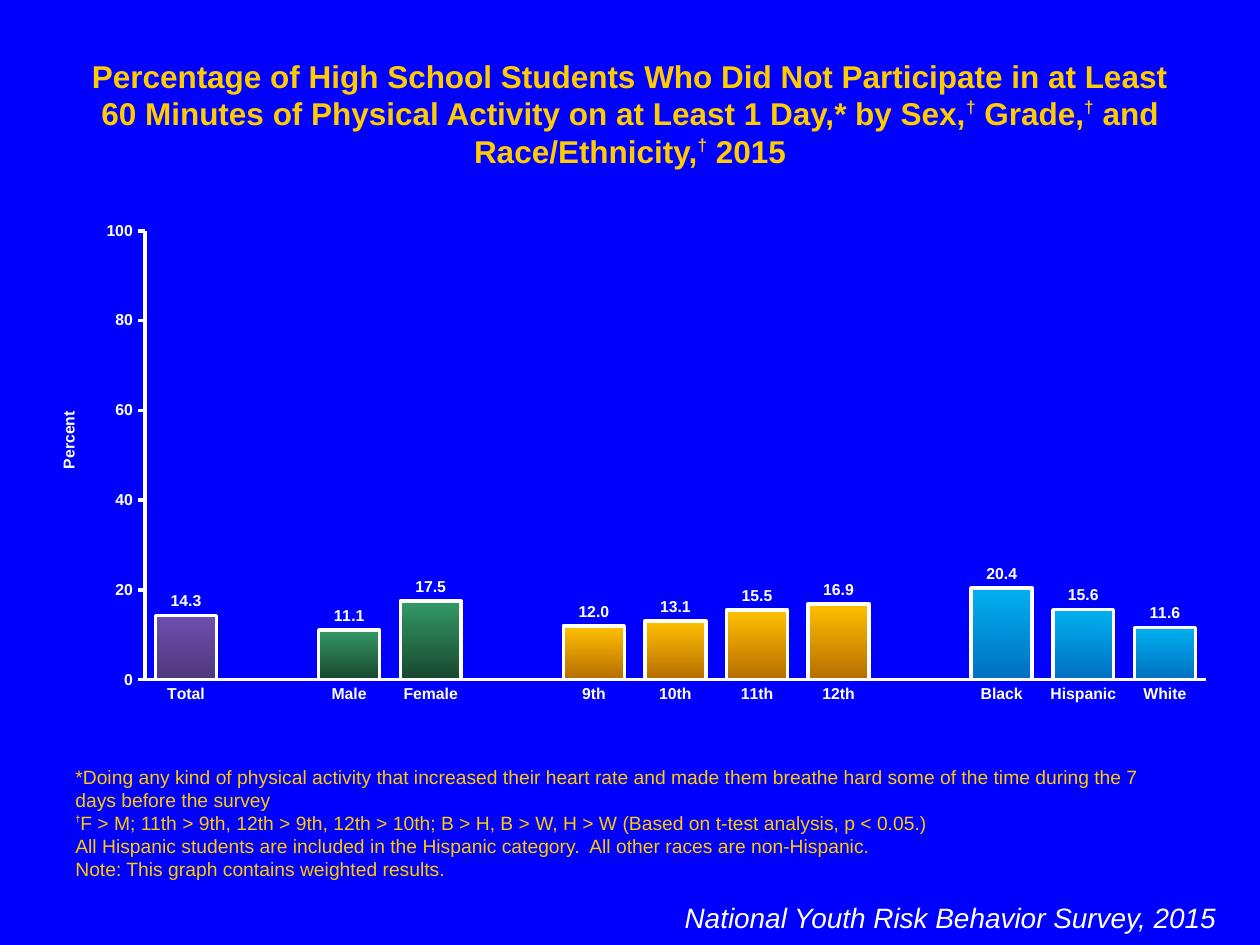
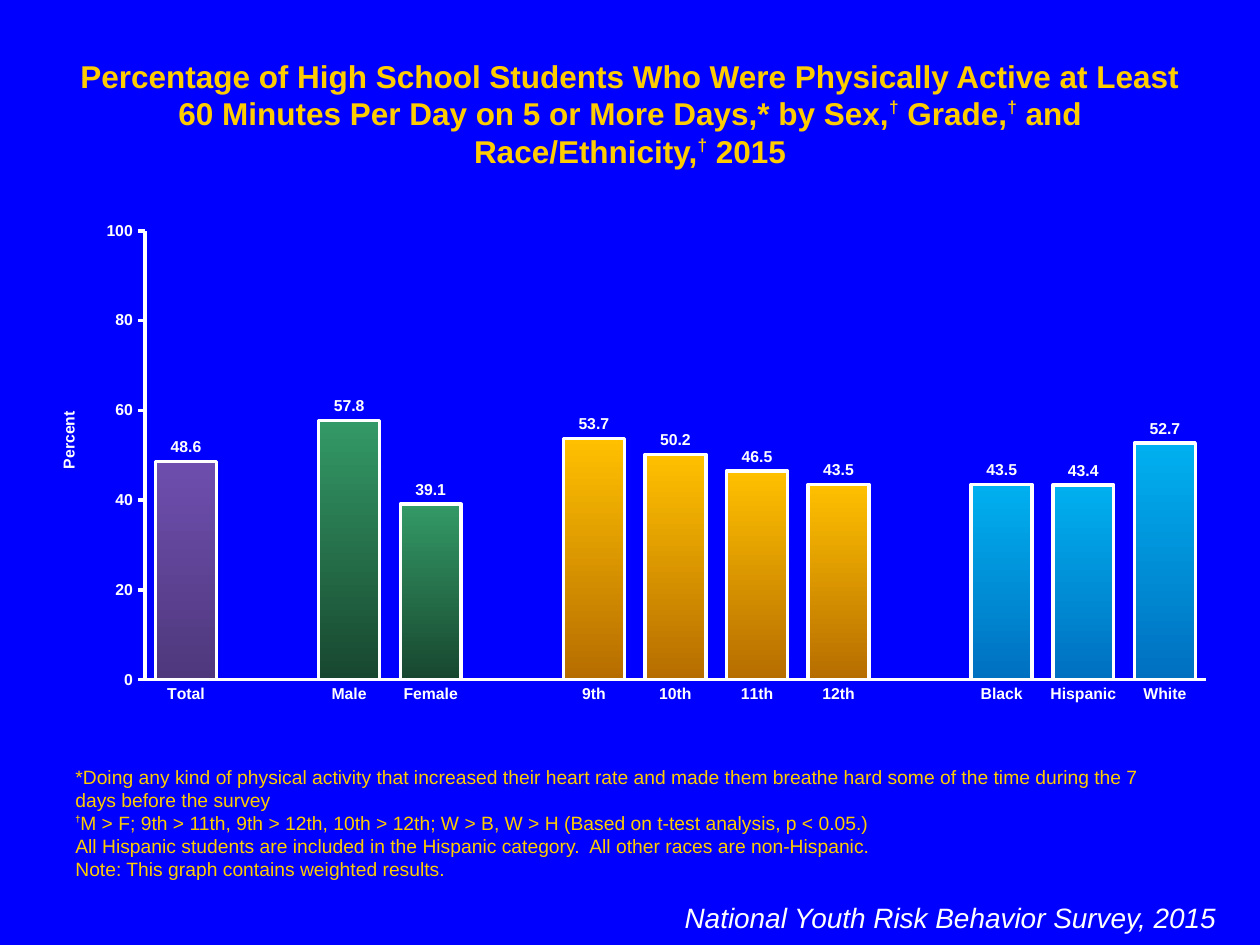
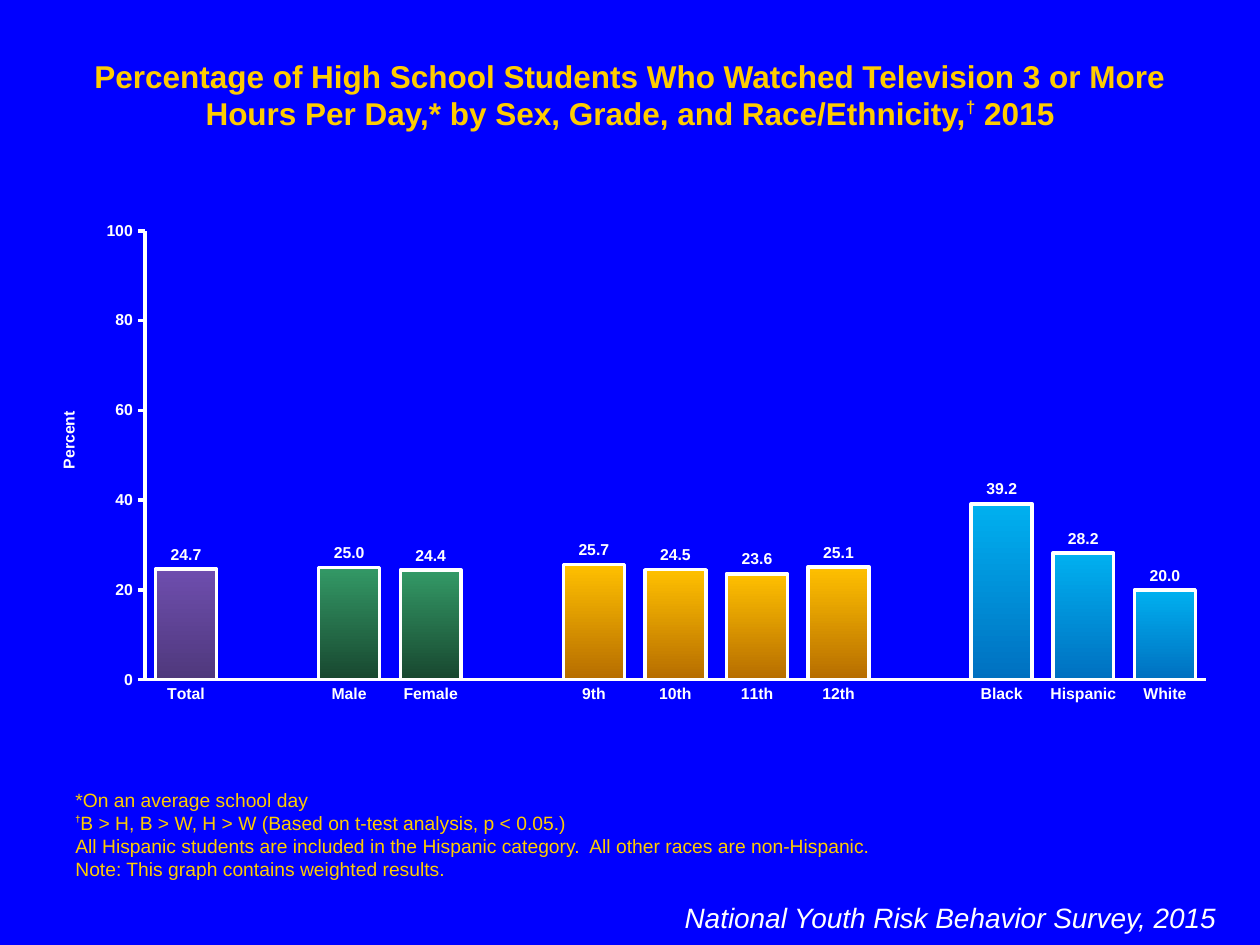
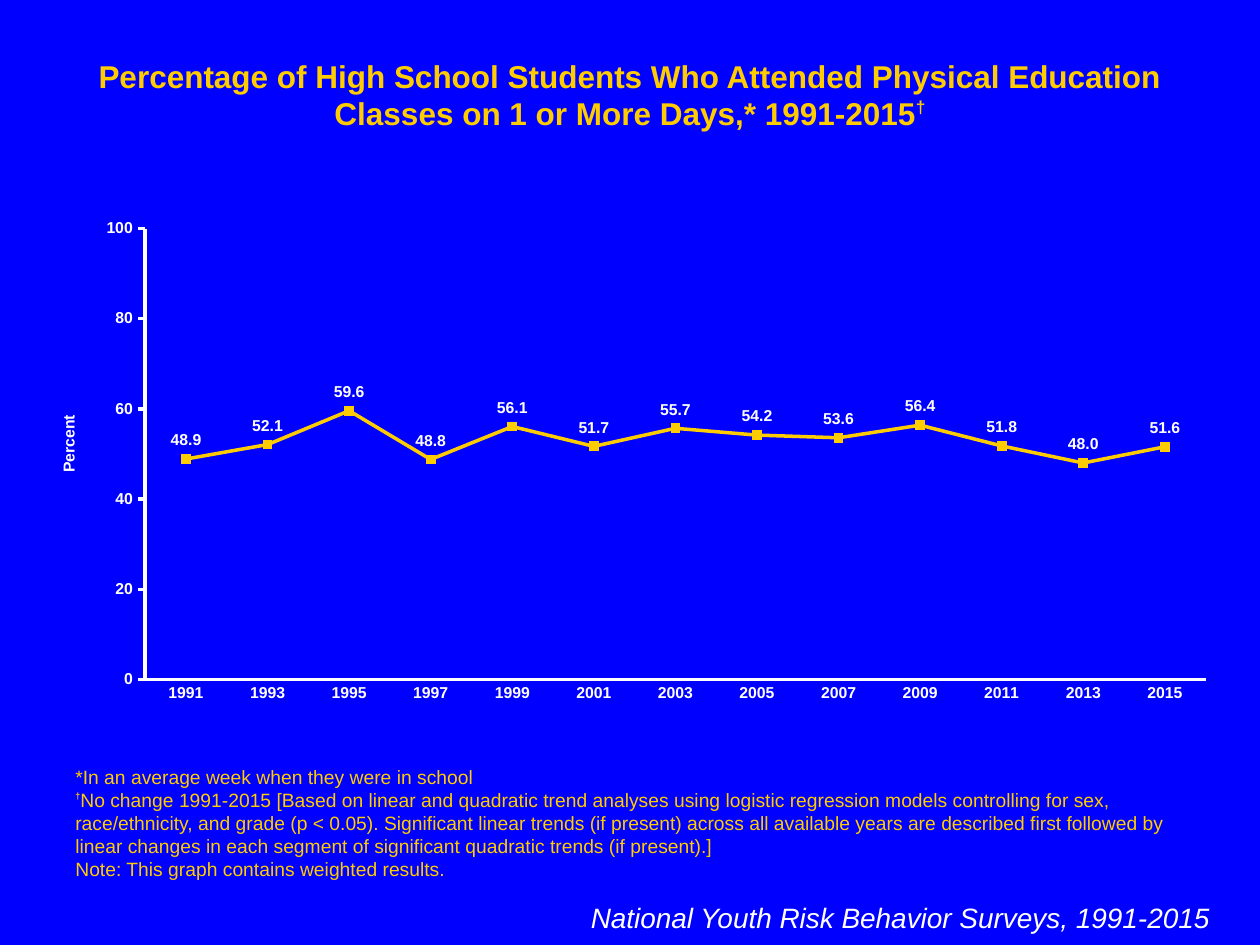
"""Build four survey slides: three grouped column charts and one trend line."""
from lxml.etree import SubElement
from pptx import Presentation
from pptx.chart.data import CategoryChartData
from pptx.dml.color import RGBColor
from pptx.enum.chart import XL_CHART_TYPE, XL_LABEL_POSITION, XL_MARKER_STYLE, XL_TICK_MARK
from pptx.enum.text import MSO_ANCHOR, MSO_AUTO_SIZE, PP_ALIGN
from pptx.oxml.ns import qn
from pptx.util import Inches, Pt

FONT, GOLD, WHITE, BLUE = "Arial", "FFCC00", "FFFFFF", "0000FF"
MARGIN, TEXT_WIDTH = 0.5, 9
rgb = RGBColor.from_string


def add_text(slide, box, lines, size, color, align, bold=False, italic=False,
             anchor=MSO_ANCHOR.TOP, mark_size=0, mark_raise=0):
    """Add a text box in which every dagger is a raised run."""
    shape = slide.shapes.add_textbox(*[Inches(length) for length in box])
    frame = shape.text_frame
    frame.word_wrap = True
    frame.auto_size = MSO_AUTO_SIZE.SHAPE_TO_FIT_TEXT
    frame.vertical_anchor = anchor
    for number, line in enumerate(lines):
        paragraph = frame.add_paragraph() if number else frame.paragraphs[0]
        paragraph.alignment = align
        before, mark, after = line.partition("†")
        while before or mark:
            for text in filter(None, (before, mark)):
                run = paragraph.add_run()
                run.text = text
                run.font.name = FONT
                run.font.size = Pt(mark_size if text == "†" else size)
                run.font.bold = bold or text == "†"
                run.font.italic = italic
                run.font.color.rgb = rgb(color)
                if text == "†":
                    run._r.get_or_add_rPr().set("baseline", str(mark_raise * 1000))
            before, mark, after = after.partition("†")


def set_layout(parent, position, **shares):
    """Place a chart part by shares of the chart's size."""
    for old in parent.findall(qn("c:layout")):
        parent.remove(old)
    layout = SubElement(parent, qn("c:layout"))
    parent.insert(position, layout)
    manual = SubElement(layout, qn("c:manualLayout"))
    if "w" in shares:
        SubElement(manual, qn("c:layoutTarget")).set("val", "inner")
    for name in ("x", "y"):
        SubElement(manual, qn(f"c:{name}Mode")).set("val", "edge")
    for name, share in shares.items():
        SubElement(manual, qn(f"c:{name}")).set("val", str(share))


SURVEY = "National Youth Risk Behavior Survey, 2015"
ACTIVITY = ("*Doing any kind of physical activity that increased their heart rate and made them "
            "breathe hard some of the time during the 7 days before the survey")
HISPANIC = "All Hispanic students are included in the Hispanic category.  All other races are non-Hispanic."
WEIGHTED = "Note: This graph contains weighted results."

GROUPS = [
    (["Total"], "6E4EAE", "4F387C"),
    (["Male", "Female"], "339966", "18472F"),
    (["9th", "10th", "11th", "12th"], "FFC000", "B66D00"),
    (["Black", "Hispanic", "White"], "00B0F0", "0070C0"),
]
group_names, gradients = [], {}
for names, top_color, bottom_color in GROUPS:
    if group_names:
        group_names.append("")
    for name in names:
        gradients[len(group_names)] = (top_color, bottom_color)
        group_names.append(name)
years = [str(year) for year in range(1991, 2016, 2)]

COLUMNS, LINE = XL_CHART_TYPE.COLUMN_CLUSTERED, XL_CHART_TYPE.LINE_MARKERS
COLUMN_BOX, LINE_BOX = (0.25, 1.69, 9.5, 3.98), (0.25, 1.67, 9.5, 4)
SURVEY_BOX, TREND_BOX = (4.25, 7.1, 5.5, 0.64), (4.53, 7.1, 5.17, 0.37)

SLIDES = [
    ("Percentage of High School Students Who Did Not Participate in at Least 60 Minutes of "
     "Physical Activity on at Least 1 Day,* by Sex,† Grade,† and Race/Ethnicity,† 2015",
     [ACTIVITY,
      "†F > M; 11th > 9th, 12th > 9th, 12th > 10th; B > H, B > W, H > W (Based on t-test analysis, p < 0.05.)",
      HISPANIC, WEIGHTED],
     SURVEY, SURVEY_BOX, COLUMNS, COLUMN_BOX,
     [14.3, None, 11.1, 17.5, None, 12.0, 13.1, 15.5, 16.9, None, 20.4, 15.6, 11.6]),
    ("Percentage of High School Students Who Were Physically Active at Least 60 Minutes Per Day "
     "on 5 or More Days,* by Sex,† Grade,† and Race/Ethnicity,† 2015",
     [ACTIVITY,
      "†M > F; 9th > 11th, 9th > 12th, 10th > 12th; W > B, W > H (Based on t-test analysis, p < 0.05.)",
      HISPANIC, WEIGHTED],
     SURVEY, SURVEY_BOX, COLUMNS, COLUMN_BOX,
     [48.6, None, 57.8, 39.1, None, 53.7, 50.2, 46.5, 43.5, None, 43.5, 43.4, 52.7]),
    ("Percentage of High School Students Who Watched Television 3 or More Hours Per Day,* "
     "by Sex, Grade, and Race/Ethnicity,† 2015",
     ["*On an average school day",
      "†B > H, B > W, H > W (Based on t-test analysis, p < 0.05.)",
      HISPANIC, WEIGHTED],
     SURVEY, SURVEY_BOX, COLUMNS, COLUMN_BOX,
     [24.7, None, 25.0, 24.4, None, 25.7, 24.5, 23.6, 25.1, None, 39.2, 28.2, 20.0]),
    ("Percentage of High School Students Who Attended Physical Education Classes "
     "on 1 or More Days,* 1991-2015†",
     ["*In an average week when they were in school",
      "†No change 1991-2015 [Based on linear and quadratic trend analyses using logistic regression "
      "models controlling for sex, race/ethnicity, and grade (p < 0.05). Significant linear trends "
      "(if present) across all available years are described first followed by linear changes in "
      "each segment of significant quadratic trends (if present).]",
      WEIGHTED],
     "National Youth Risk Behavior Surveys, 1991-2015", TREND_BOX, LINE, LINE_BOX,
     [48.9, 52.1, 59.6, 48.8, 56.1, 51.7, 55.7, 54.2, 53.6, 56.4, 51.8, 48.0, 51.6]),
]

presentation = Presentation()
presentation.slide_width, presentation.slide_height = Inches(10), Inches(7.5)
background = presentation.slide_master.background.fill
background.solid()
background.fore_color.rgb = rgb(BLUE)

for title, notes, source, source_box, chart_type, chart_box, values in SLIDES:
    slide = presentation.slides.add_slide(presentation.slide_layouts[6])
    add_text(slide, (MARGIN, 0.4, TEXT_WIDTH, 0.4), [title], 18, GOLD, PP_ALIGN.CENTER,
             bold=True, mark_size=17, mark_raise=40)
    add_text(slide, (MARGIN, 6.75, TEXT_WIDTH, 0.29), notes, 11, GOLD, PP_ALIGN.LEFT,
             anchor=MSO_ANCHOR.BOTTOM, mark_size=9, mark_raise=50)
    add_text(slide, source_box, [source], 16, WHITE, PP_ALIGN.RIGHT, italic=True)

    chart_data = CategoryChartData(number_format="#,##0.0")
    chart_data.categories = group_names if chart_type == COLUMNS else years
    chart_data.add_series("Series 1", values)
    chart = slide.shapes.add_chart(
        chart_type, *[Inches(length) for length in chart_box], chart_data).chart
    chart.has_legend = False
    chart.has_title = False
    chart.font.name = FONT
    chart.font.size = Pt(18)
    chart.font.color.rgb = rgb(WHITE)
    set_layout(chart._chartSpace.chart.plotArea, 0, x=0.095, y=0.036, w=0.886, h=0.895)

    percent_axis, category_axis = chart.value_axis, chart.category_axis
    percent_axis.minimum_scale, percent_axis.maximum_scale = 0, 100
    percent_axis.major_unit = 20
    percent_axis.has_major_gridlines = False
    percent_axis.major_tick_mark = XL_TICK_MARK.OUTSIDE
    percent_axis.tick_labels.number_format = "#,##0"
    percent_axis.tick_labels.number_format_is_linked = False
    category_axis.major_tick_mark = XL_TICK_MARK.NONE

    axis_title = percent_axis.axis_title
    title_frame = axis_title.text_frame
    title_run = title_frame.paragraphs[0].add_run()
    title_run.text = "Percent"
    title_frame._txBody.find(qn("a:bodyPr")).set("rot", "-5400000")
    set_layout(axis_title._element, 1, x=0.02, y=0.39 if chart_type == COLUMNS else 0.4)

    plot = chart.plots[0]
    plot.vary_by_categories = False
    plot.has_data_labels = True
    labels = plot.data_labels
    labels.show_value = True
    labels.number_format = "#,##0.0"
    labels.number_format_is_linked = False

    for axis in (percent_axis, category_axis):
        axis.format.line.color.rgb = rgb(WHITE)
        axis.format.line.width = Pt(2)
    for font in (percent_axis.tick_labels.font, category_axis.tick_labels.font,
                 title_run.font, labels.font):
        font.name = FONT
        font.size = Pt(9)
        font.bold = True
        font.color.rgb = rgb(WHITE)

    series = plot.series[0]
    if chart_type == COLUMNS:
        labels.position = XL_LABEL_POSITION.OUTSIDE_END
        plot.gap_width, plot.overlap = 34, 100
        series.invert_if_negative = False
        series.format.fill.solid()
        series.format.fill.fore_color.rgb = rgb("26CA59")
        for index, colors in gradients.items():
            column = series.points[index].format
            column.fill.gradient()
            column.fill.gradient_angle = 270
            for stop, color in zip(column.fill.gradient_stops, colors):
                stop.color.rgb = rgb(color)
            column.line.color.rgb = rgb(WHITE)
            column.line.width = Pt(2)
    else:
        labels.position = XL_LABEL_POSITION.ABOVE
        series.smooth = False
        series.format.line.color.rgb = rgb(GOLD)
        series.format.line.width = Pt(2)
        series.marker.style = XL_MARKER_STYLE.SQUARE
        series.marker.size = 5
        series.marker.format.fill.solid()
        series.marker.format.fill.fore_color.rgb = rgb(GOLD)
        series.marker.format.line.color.rgb = rgb(GOLD)

presentation.save("out.pptx")
